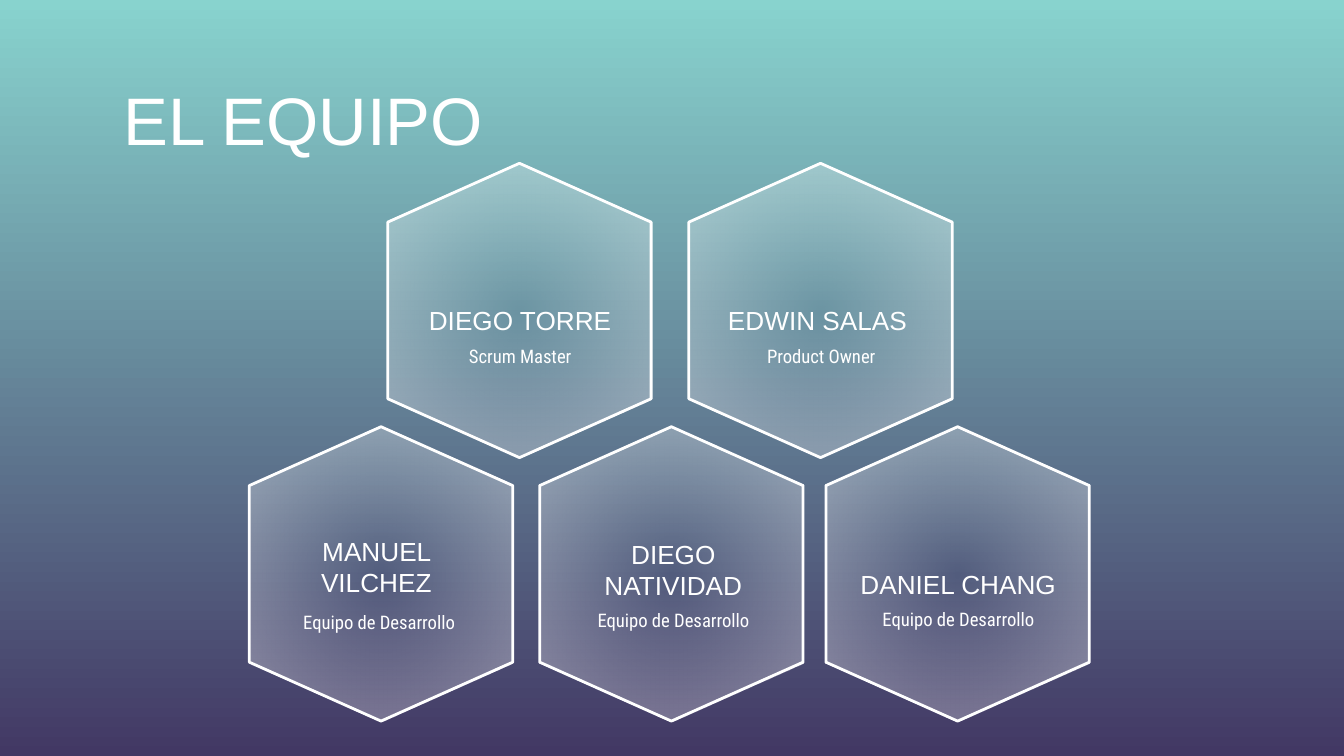
from lxml import etree
from pptx import Presentation
from pptx.dml.color import RGBColor
from pptx.enum.shapes import MSO_SHAPE
from pptx.enum.text import MSO_ANCHOR, PP_ALIGN
from pptx.oxml import parse_xml
from pptx.oxml.ns import nsdecls, qn
from pptx.util import Inches, Pt

COLORS = {"white": "FFFFFF", "top": "88D3CE", "bottom": "423864"}
WHITE = RGBColor.from_string(COLORS["white"])

# Widescreen slide, 16:9
prs = Presentation()
prs.slide_width = Inches(10)
prs.slide_height = Inches(10 * 9 / 16)
slide = prs.slides.add_slide(prs.slide_layouts[6])


def add_text(text, x, y, w, h, font, size, anchor, align=PP_ALIGN.CENTER):
    tf = slide.shapes.add_textbox(Inches(x), Inches(y), Inches(w), Inches(h)).text_frame
    tf.word_wrap = True
    tf.vertical_anchor = anchor
    tf.margin_left = tf.margin_right = tf.margin_top = tf.margin_bottom = Inches(0.1)
    p = tf.paragraphs[0]
    p.text = text
    p.alignment = align
    p.font.name, p.font.size, p.font.color.rgb = font, Pt(size), WHITE


def add_hexagon(x, y):
    s = slide.shapes.add_shape(MSO_SHAPE.FLOWCHART_PREPARATION,
                               Inches(x), Inches(y), Inches(2.19), Inches(1.96))
    s.rotation = 90
    s.shadow.inherit = False
    s.line.color.rgb = WHITE
    s.line.width = Pt(1.5)
    # White glow: clear in the centre, 39 % opaque at the rim
    s.fill.gradient()
    for stop in s.fill.gradient_stops:
        stop.color.rgb = WHITE
    grad = s._element.spPr.find(qn("a:gradFill"))
    for color, alpha in zip(grad.iter(qn("a:srgbClr")), (0, 39000)):
        etree.SubElement(color, qn("a:alpha")).set("val", str(alpha))
    grad.replace(grad.find(qn("a:lin")), parse_xml(
        f'<a:path {nsdecls("a")} path="circle">'
        '<a:fillToRect l="50000" t="50000" r="50000" b="50000"/></a:path>'))


# Background, light at the top
bg = slide.background.fill
bg.gradient()
bg.gradient_angle = 270
for stop, name in zip(bg.gradient_stops, ("top", "bottom")):
    stop.color.rgb = RGBColor.from_string(COLORS[name])

# Title
add_text("EL EQUIPO", 0.82, 0.55, 3.59, 0.73, "Arial", 36,
         MSO_ANCHOR.BOTTOM, PP_ALIGN.LEFT)

# Team: hexagon x, y; name and x, y; role and x, y
team = [
    (2.77, 1.33, "DIEGO TORRE", 3.01, 1.97, "Scrum Master", 3.01, 2.48),
    (5.01, 1.33, "EDWIN SALAS ", 5.25, 1.97, "Product Owner", 5.25, 2.48),
    (1.74, 3.29, "MANUEL VILCHEZ", 1.94, 3.92, "Equipo de Desarrollo", 1.96, 4.46),
    (3.9, 3.29, "DIEGO NATIVIDAD", 4.15, 3.94, "Equipo de Desarrollo", 4.15, 4.45),
    (6.03, 3.29, "DANIEL CHANG", 6.27, 3.93, "Equipo de Desarrollo", 6.27, 4.44),
]
for hex_x, hex_y, name, name_x, name_y, role, role_x, role_y in team:
    add_hexagon(hex_x, hex_y)
    add_text(name, name_x, name_y, 1.72, 0.63, "Arial", 14, MSO_ANCHOR.BOTTOM)
    add_text(role, role_x, role_y, 1.72, 0.4, "Roboto Condensed", 10, MSO_ANCHOR.TOP)

prs.save("out.pptx")
